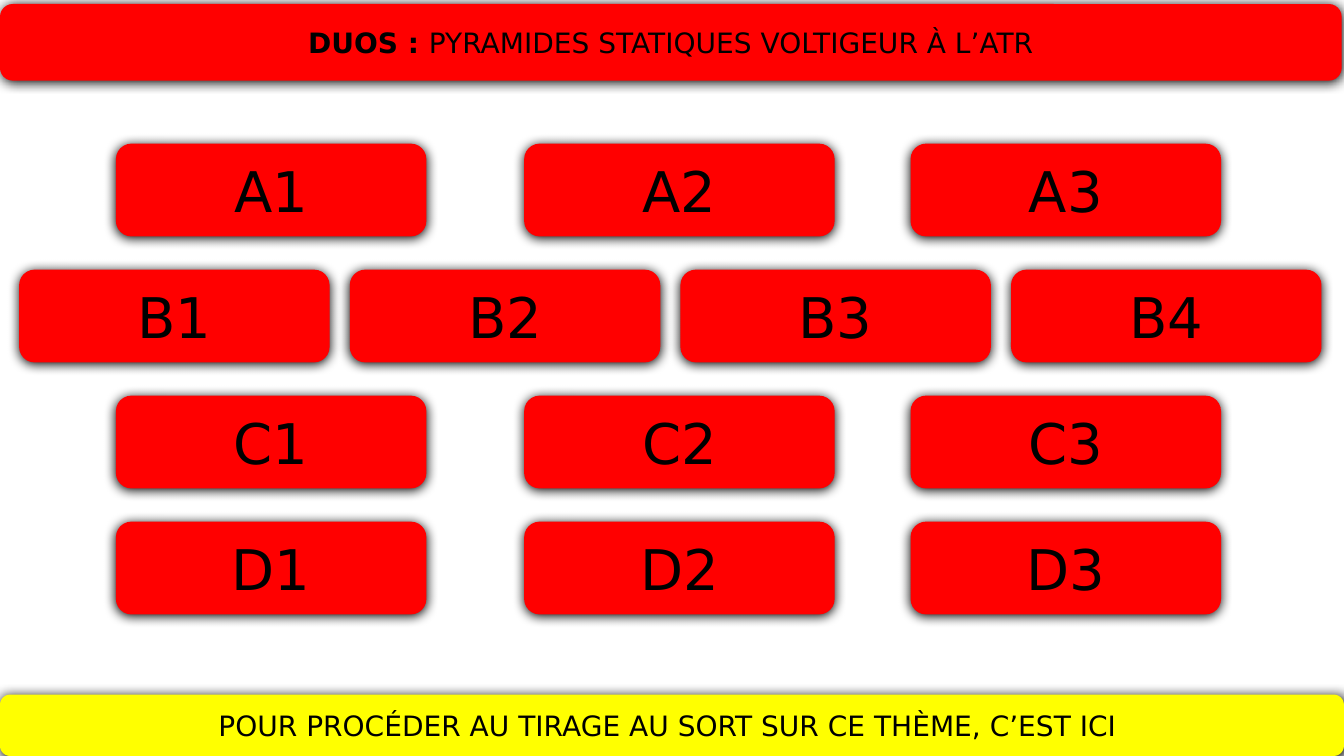
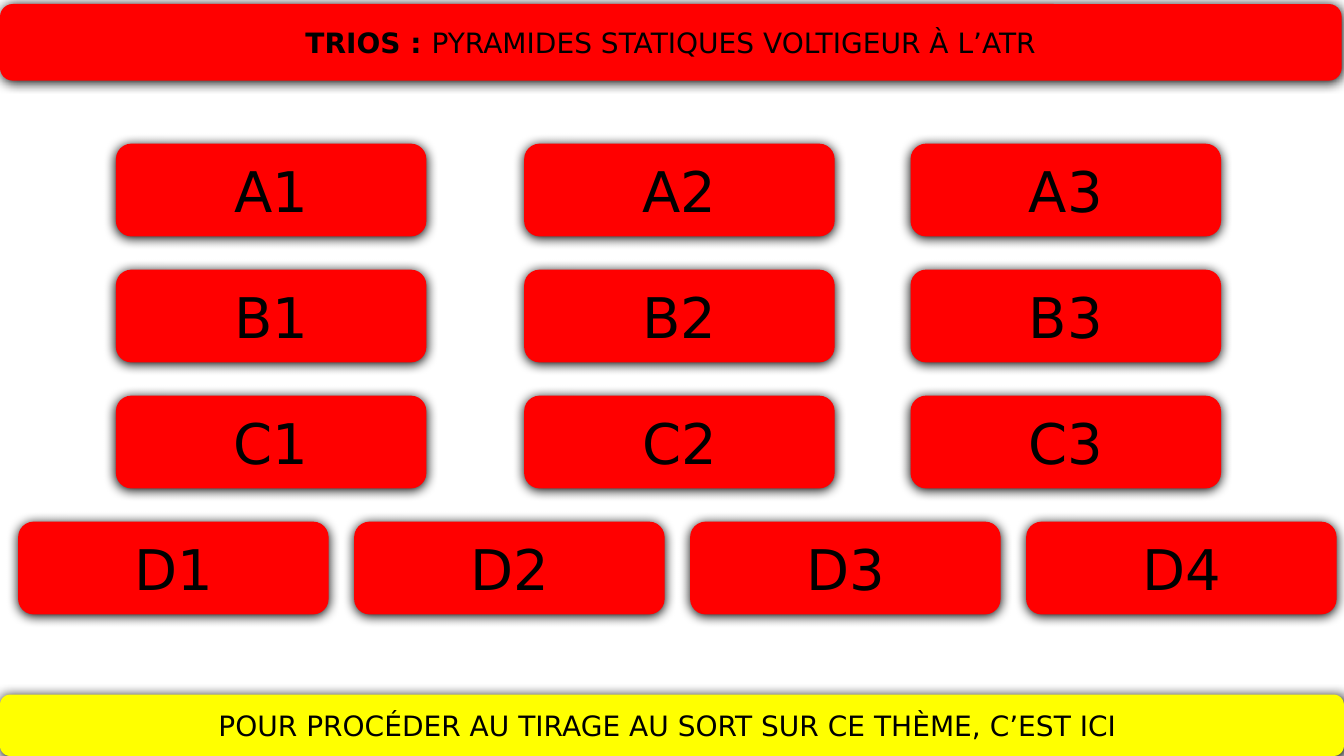
from dataclasses import dataclass

from lxml import etree
from pptx import Presentation
from pptx.dml.color import RGBColor
from pptx.enum.shapes import MSO_SHAPE
from pptx.enum.text import MSO_ANCHOR, PP_ALIGN
from pptx.oxml.ns import qn
from pptx.util import Inches, Pt

ROUND = MSO_SHAPE.ROUNDED_RECTANGLE
MIDDLE = MSO_ANCHOR.MIDDLE
CENTER = PP_ALIGN.CENTER

COLS, ROWS = 40, 30


@dataclass(frozen=True)
class Theme:
    font: str = "DejaVu Sans"
    ink: str = "000000"
    red: str = "FF0000"
    gold: str = "FFFF00"
    shade: str = "000000"
    blur: float = 8.5
    drop: float = 1
    band: int = 20
    tile: int = 40


# Grid columns where the tiles of a row start
THREE = (3.45, 15.6, 27.1)
FOUR = [0.57 + 9.84 * n for n in range(4)]
WIDE = [0.54 + 10 * n for n in range(4)]

TILE_W, TILE_H = 9.24, 3.68
TOP, STEP = 5.7, 5

DECK = (
    ("DUOS : ", {"A": THREE, "B": FOUR, "C": THREE, "D": THREE}),
    ("TRIOS : ", {"A": THREE, "B": THREE, "C": THREE, "D": WIDE}),
)
TOPIC = "PYRAMIDES STATIQUES VOLTIGEUR À L’ATR"
DRAW = "POUR PROCÉDER AU TIRAGE AU SORT SUR CE THÈME, C’EST ICI "


def write(para, text, *, font, size, color, bold=False):
    run = para.add_run()
    run.text = text
    run.font.name = font
    run.font.size = Pt(size)
    run.font.bold = bold
    run.font.color.rgb = RGBColor.from_string(color)


class Board:
    """Draws on the current slide, in columns and rows of the grid."""

    def __init__(self, theme):
        self.theme = theme
        self.deck = Presentation()
        self.deck.slide_width = Inches(13.33)
        self.deck.slide_height = Inches(7.5)
        self.slide = None

    def page(self):
        self.slide = self.deck.slides.add_slide(self.deck.slide_layouts[6])

    def shadow(self, shape):
        shape.shadow.inherit = False
        effects = shape._element.spPr.find(qn("a:effectLst"))
        outer = etree.SubElement(
            effects, qn("a:outerShdw"), blurRad=str(Pt(self.theme.blur)),
            dist=str(Pt(self.theme.drop)), dir="5400000", rotWithShape="0")
        etree.SubElement(outer, qn("a:srgbClr"), val=self.theme.shade)

    def box(self, col, row, wide, high, fill, size, *parts):
        """Adds a rounded box; each part is a text and whether it is bold."""
        dx = self.deck.slide_width / COLS
        dy = self.deck.slide_height / ROWS
        shape = self.slide.shapes.add_shape(
            ROUND, int(col * dx), int(row * dy), int(wide * dx), int(high * dy))
        shape.fill.solid()
        shape.fill.fore_color.rgb = RGBColor.from_string(fill)
        shape.line.fill.background()
        self.shadow(shape)
        frame = shape.text_frame
        frame.word_wrap = True
        frame.vertical_anchor = MIDDLE
        para = frame.paragraphs[0]
        para.alignment = CENTER
        for text, bold in parts:
            write(para, text, font=self.theme.font, size=size,
                  color=self.theme.ink, bold=bold)

    def title(self, group):
        self.box(0, 0.16, 39.93, 3.04, self.theme.red, self.theme.band,
                 (group, True), (TOPIC, False))

    def footer(self):
        self.box(0, 27.56, COLS, 2.44, self.theme.gold, self.theme.band,
                 (DRAW, False))

    def tiles(self, rows):
        for line, (letter, starts) in enumerate(rows.items()):
            for num, col in enumerate(starts, 1):
                self.box(col, TOP + line * STEP, TILE_W, TILE_H,
                         self.theme.red, self.theme.tile,
                         (f"{letter}{num}", False))


def main():
    board = Board(Theme())
    for group, rows in DECK:
        board.page()
        board.tiles(rows)
        board.title(group)
        board.footer()
    board.deck.save("out.pptx")


if __name__ == "__main__":
    main()
